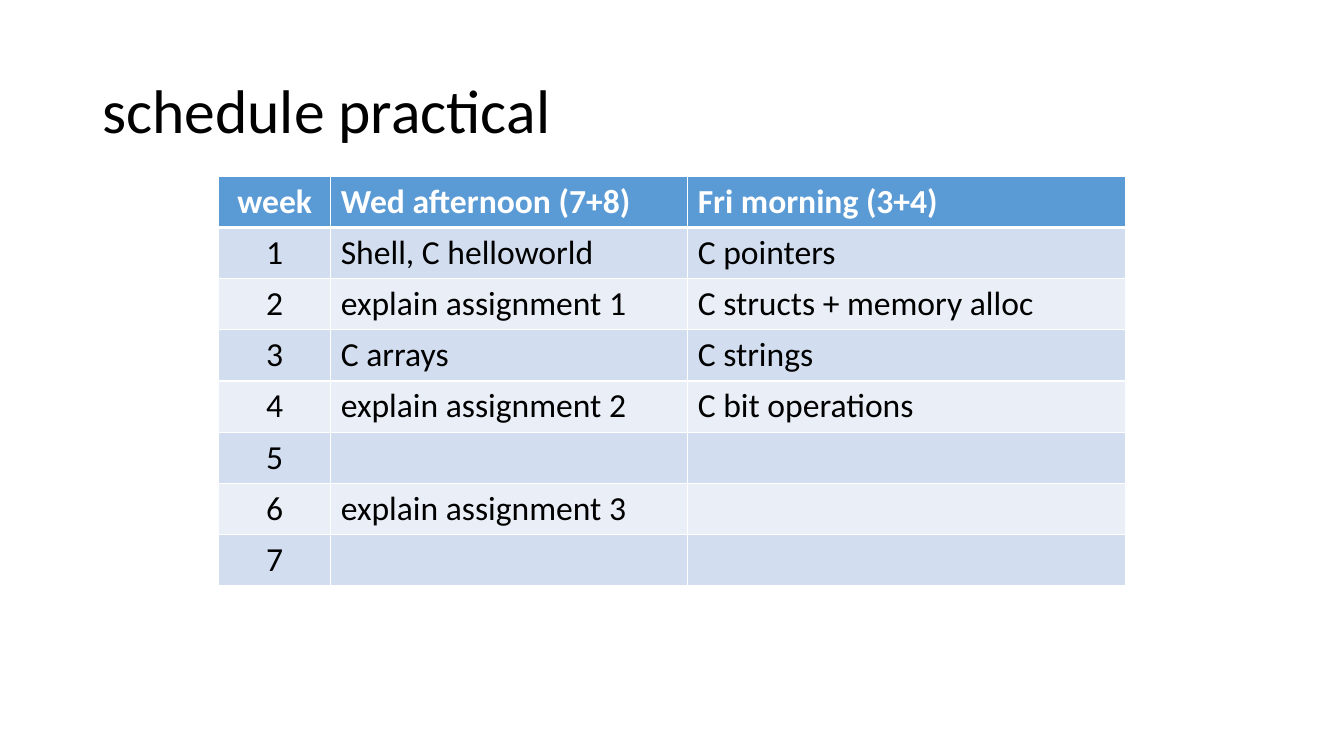
from lxml import etree
from pptx import Presentation
from pptx.dml.color import RGBColor
from pptx.enum.text import MSO_ANCHOR, PP_ALIGN
from pptx.oxml.ns import qn
from pptx.util import Pt

CENTER, LEFT = PP_ALIGN.CENTER, PP_ALIGN.LEFT
MIDDLE = MSO_ANCHOR.MIDDLE

COLORS = {
    "text": "000000",
    "white": "FFFFFF",
    "header": "5B9BD5",
    "odd": "D2DEEF",
    "even": "EAEFF7",
}
FONT = "Calibri"
COLUMN_WIDTHS = (80, 255, 313)
ROW_HEIGHT = 36.55
SCHEDULE = [
    ("week", "Wed afternoon (7+8)", "Fri morning (3+4)"),
    ("1", "Shell, C helloworld", "C pointers"),
    ("2", "explain assignment 1", "C structs + memory alloc"),
    ("3", "C arrays", "C strings"),
    ("4", "explain assignment 2", "C bit operations"),
    ("5", "", ""),
    ("6", "explain assignment 3", ""),
    ("7", "", ""),
]


def color(name):
    return RGBColor.from_string(COLORS[name])


def style_paragraph(para, size, color_name, bold=False, align=LEFT):
    para.alignment = align
    para.font.name = FONT
    para.font.size = Pt(size)
    para.font.bold = bold
    para.font.color.rgb = color(color_name)


def set_borders(cell, widths):
    """Draw white borders; widths maps the sides L, R, T, B to points."""
    properties = cell._tc.get_or_add_tcPr()
    for index, side in enumerate("LRTB"):
        line = etree.Element(qn(f"a:ln{side}"), w=str(Pt(widths[side])))
        fill = etree.SubElement(line, qn("a:solidFill"))
        etree.SubElement(fill, qn("a:srgbClr"), val=COLORS["white"])
        properties.insert(index, line)


def add_title(page, text, left, top, width, height):
    box = page.shapes.add_textbox(Pt(left), Pt(top), Pt(width), Pt(height))
    frame = box.text_frame
    frame.word_wrap = True
    frame.vertical_anchor = MIDDLE
    frame.text = text
    para = frame.paragraphs[0]
    para.line_spacing = 0.9
    style_paragraph(para, 44, "text")


def add_schedule(page, left, top):
    rows, columns = len(SCHEDULE), len(COLUMN_WIDTHS)
    table = page.shapes.add_table(
        rows, columns, Pt(left), Pt(top),
        Pt(sum(COLUMN_WIDTHS)), Pt(rows * ROW_HEIGHT)).table
    for column, width in zip(table.columns, COLUMN_WIDTHS):
        column.width = Pt(width)

    for row, entries in enumerate(SCHEDULE):
        table.rows[row].height = Pt(ROW_HEIGHT)
        is_header = row == 0
        fill_name = "header" if is_header else ("even", "odd")[row % 2]
        widths = {"L": 1, "R": 1,
                  "T": 3 if row == 1 else 1, "B": 3 if is_header else 1}
        for column, text in enumerate(entries):
            cell = table.cell(row, column)
            cell.text = text
            cell.fill.solid()
            cell.fill.fore_color.rgb = color(fill_name)
            set_borders(cell, widths)
            style_paragraph(cell.text_frame.paragraphs[0], 24,
                            "white" if is_header else "text", is_header,
                            CENTER if column == 0 else LEFT)


def main():
    deck = Presentation()
    deck.slide_width, deck.slide_height = Pt(960), Pt(540)
    page = deck.slides.add_slide(deck.slide_layouts[6])
    add_title(page, "schedule practical", 66, 28.75, 828, 104.4)
    add_schedule(page, 156.24, 126)
    deck.save("out.pptx")


if __name__ == "__main__":
    main()
